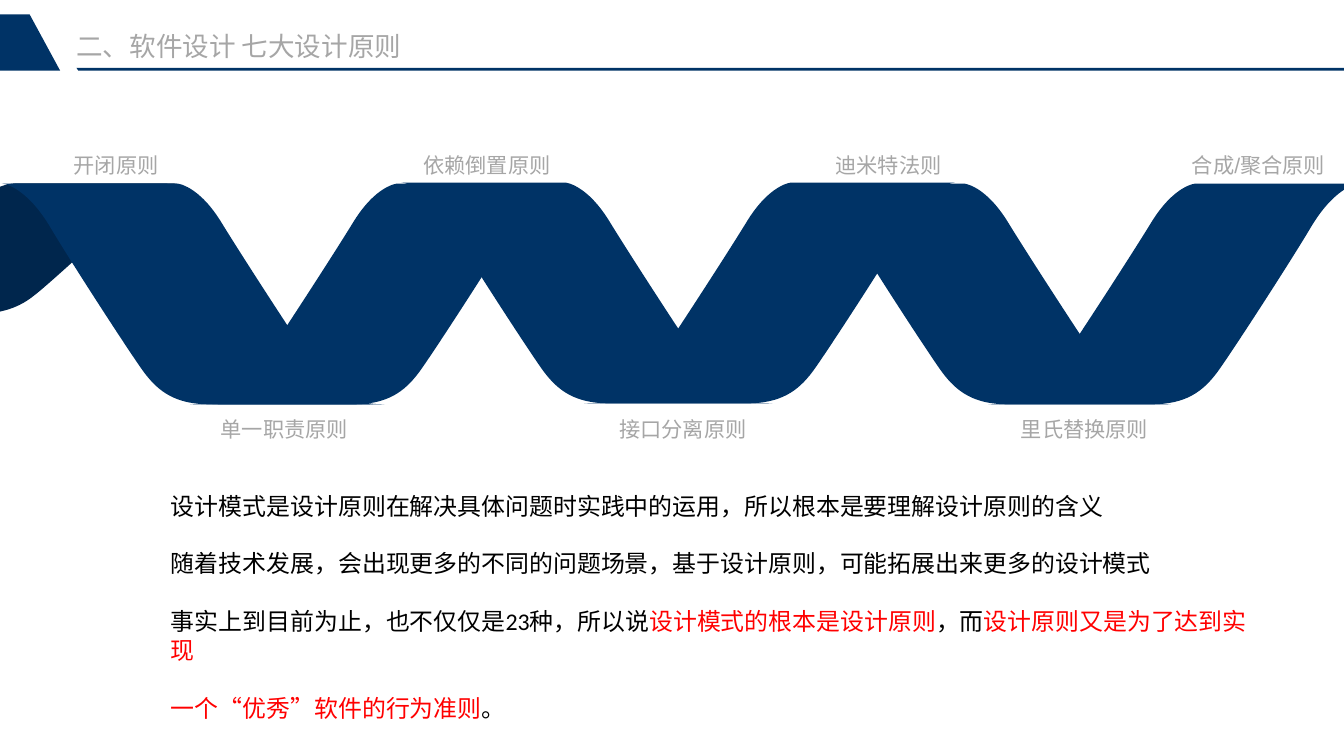
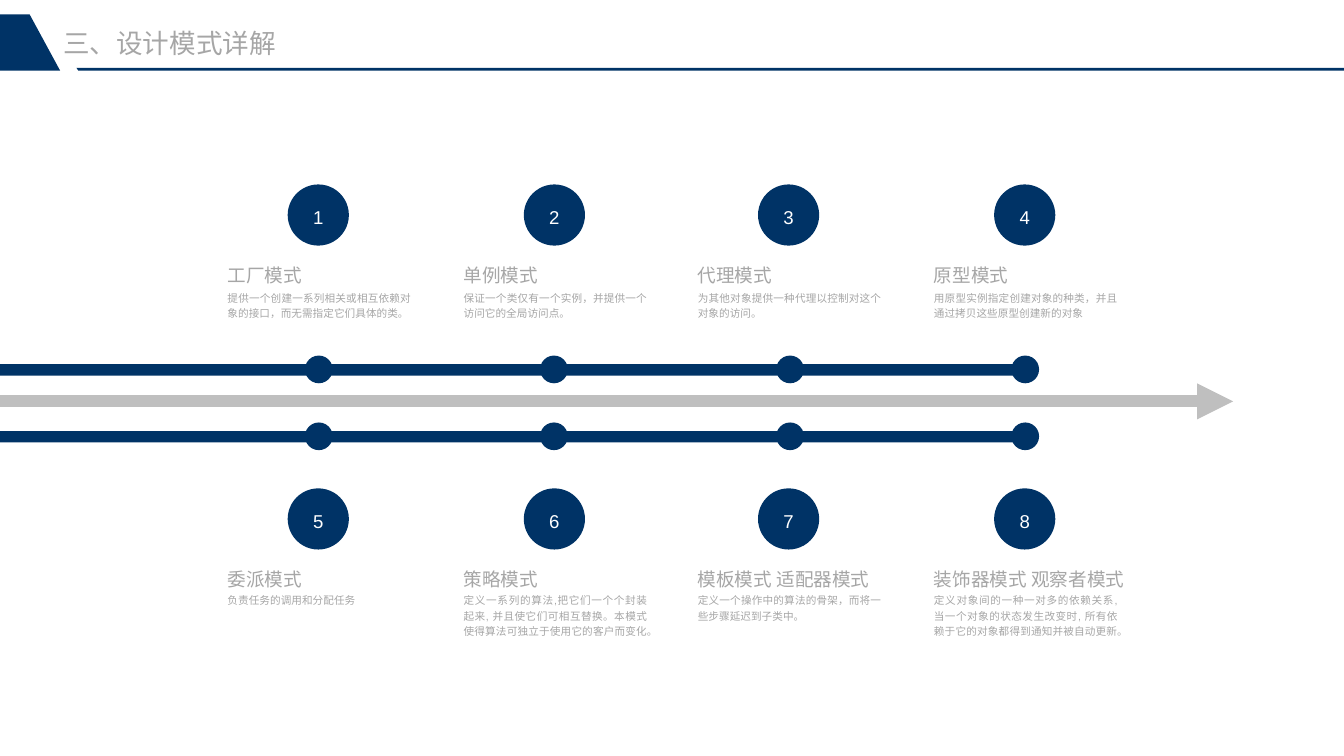
from lxml import etree
from pptx import Presentation
from pptx import util as u
from pptx.dml.color import RGBColor
from pptx.enum import shapes, text
from pptx.oxml.ns import qn

PX = 9144  # 100 px to the inch
NAVY = RGBColor(0x00, 0x33, 0x66)
DARK_NAVY = RGBColor(0x00, 0x26, 0x4D)
GRAY = RGBColor(0xA6, 0xA6, 0xA6)
LIGHT_GRAY = RGBColor(0xBF, 0xBF, 0xBF)
WHITE = RGBColor(0xFF, 0xFF, 0xFF)
BLACK = RGBColor(0x00, 0x00, 0x00)
RED = RGBColor(0xFF, 0x00, 0x00)
ALIGN = text.PP_ALIGN
SHAPE = shapes.MSO_SHAPE


def paint(sp, color):
    sp.shadow.inherit = False
    sp.fill.solid()
    sp.fill.fore_color.rgb = color
    sp.line.fill.background()


def write(sp, paragraphs, size, align, spacing=1.2, wrap=True, inset=(0, 0),
          anchor=text.MSO_ANCHOR.TOP, font="Arial", after=0):
    """Fill a shape with paragraphs, each a list of (text, color) runs."""
    tf = sp.text_frame
    frame = {"word_wrap": wrap, "auto_size": text.MSO_AUTO_SIZE.NONE,
             "vertical_anchor": anchor,
             "margin_left": inset[0] * PX, "margin_right": inset[0] * PX,
             "margin_top": inset[1] * PX, "margin_bottom": inset[1] * PX}
    for name, value in frame.items():
        setattr(tf, name, value)
    for i, runs in enumerate(paragraphs):
        p = tf.add_paragraph() if i else tf.paragraphs[0]
        p.alignment, p.line_spacing = align, spacing
        p.space_after = u.Pt(after)
        for content, color in runs:
            r = p.add_run()
            r.text = content
            r.font.name, r.font.size = font, u.Pt(size)
            r.font.color.rgb = color


prs = Presentation()
prs.slide_width, prs.slide_height = 1406 * PX, 791 * PX

# Both slides: title, wedge and rule
header = [[(0, 15), (31, 15), (63, 74), (0, 74)],
          [(80, 71), (1406, 71), (1406, 74), (82, 74)]]
pages = [
    ("二、软件设计 七大设计原则", (2, 25, 418, 40), ALIGN.RIGHT, 1.2),
    ("三、设计模式详解", (66, 28, 335, 34), ALIGN.LEFT, 1.0),
]
for title, box, align, spacing in pages:
    s = prs.slides.add_slide(prs.slide_layouts[5])
    for points in header:
        fb = s.shapes.build_freeform(*points[0], scale=PX)
        fb.add_line_segments(points[1:])
        paint(fb.convert_to_shape(), NAVY)
    sp = s.shapes.title
    sp.left, sp.top, sp.width, sp.height = [v * PX for v in box]
    write(sp, [[(title, GRAY)]], 20, align, spacing)

principles, patterns = prs.slides

# Ribbon strand: each curve from the point before, as two controls and an end
STRAND_W, STRAND_H = 388, 231
curves = [
    [(0, 0), (23, 1), (49, 43)],
    [(72, 82), (137, 182), (149, 198)],
    [(164, 218), (182, 231), (217, 231)],
    [(388, 231), (388, 231), (388, 231)],
    [(353, 231), (335, 218), (320, 198)],
    [(308, 182), (243, 82), (219, 43)],
    [(194, 1), (171, 0), (171, 0)],
]

# left, top, height, rising, color
strands = [
    (1034, 192, STRAND_H, True, NAVY),
    (611, 191, STRAND_H, True, NAVY),
    (837, 192, STRAND_H, False, NAVY),
    (199, 192, STRAND_H, True, NAVY),
    (420, 191, STRAND_H, False, NAVY),
    (-203, 192, 137, True, DARK_NAVY),
    (14, 192, STRAND_H, False, NAVY),
    (2, 192, STRAND_H, False, NAVY),
]
for left, top, height, rising, color in strands:
    placed = [[((STRAND_W - x if rising else x) * PX, round(y * height / STRAND_H) * PX)
               for x, y in curve] for curve in curves]
    fb = principles.shapes.build_freeform(STRAND_W * PX if rising else 0, 0)
    fb.add_line_segments([curve[-1] for curve in placed])
    sp = fb.convert_to_shape(left * PX, top * PX)
    paint(sp, color)
    # Turn the straight segments into cubic curves
    for segment, curve in zip(list(sp.element.iter(qn("a:lnTo"))), placed):
        bezier = etree.Element(qn("a:cubicBezTo"))
        for x, y in curve:
            etree.SubElement(bezier, qn("a:pt"), x=str(x), y=str(y))
        segment.getparent().replace(segment, bezier)

# Principle names above and below the ribbon
ABOVE, BELOW = 154, 430
labels = [
    ("开闭原则", 77, ABOVE, 89),
    ("单一职责原则", 231, BELOW, 133),
    ("依赖倒置原则", 443, ABOVE, 133),
    ("接口分离原则", 648, BELOW, 133),
    ("迪米特法则", 871, ABOVE, 117),
    ("里氏替换原则", 1068, BELOW, 133),
    ("合成/聚合原则", 1231, ABOVE, 171),
]
for name, left, top, width in labels:
    sp = principles.shapes.add_textbox(left * PX, top * PX, width * PX, 32 * PX)
    write(sp, [[(name, GRAY)]], 16, ALIGN.CENTER, wrap=False)

# Explanation
explanation = [
    [("设计模式是设计原则在解决具体问题时实践中的运用，所以根本是要理解设计原则的含义", BLACK)],
    [("随着技术发展，会出现更多的不同的问题场景，基于设计原则，可能拓展出来更多的设计模式", BLACK)],
    [("事实上到目前为止，也不仅仅是23种，所以说", BLACK), ("设计模式的根本是设计原则", RED),
     ("，而", BLACK), ("设计原则又是为了达到实现", RED)],
    [("一个“优秀”软件的行为准则", RED), ("。", BLACK)],
]
sp = principles.shapes.add_textbox(169 * PX, 509 * PX, 1170 * PX, 222 * PX)
write(sp, explanation, 18, ALIGN.LEFT, spacing=1.0, inset=(10, 5),
      font="Calibri", after=22)

# Central arrow
cn = patterns.shapes.add_connector(shapes.MSO_CONNECTOR.STRAIGHT,
                                   0, 420 * PX, 1290 * PX, 420 * PX)
cn.line.color.rgb = LIGHT_GRAY
cn.line.width = u.Pt(9)
spPr = cn.element.spPr
etree.SubElement(spPr.find(qn("a:ln")), qn("a:tailEnd"), type="triangle")
etree.SubElement(spPr, qn("a:effectLst"))

# Two timelines of four patterns each
COLUMN_LEFTS = (238, 485, 730, 977)
rows = [
    # circle top, name top, description top, bar top
    (193, 271, 303, 381, [
        ("工厂模式", "提供一个创建一系列相关或相互依赖对象的接口，而无需指定它们具体的类。"),
        ("单例模式", "保证一个类仅有一个实例，并提供一个访问它的全局访问点。"),
        ("代理模式", "为其他对象提供一种代理以控制对这个对象的访问。"),
        ("原型模式", "用原型实例指定创建对象的种类，并且通过拷贝这些原型创建新的对象"),
    ]),
    (511, 590, 619, 451, [
        ("委派模式", "负责任务的调用和分配任务"),
        ("策略模式", "定义一系列的算法,把它们一个个封装起来, 并且使它们可相互替换。"
                 "本模式使得算法可独立于使用它的客户而变化。"),
        ("模板模式 适配器模式", "定义一个操作中的算法的骨架，而将一些步骤延迟到子类中。"),
        ("装饰器模式 观察者模式", "定义对象间的一种一对多的依赖关系,当一个对象的状态发生改变时, "
                        "所有依赖于它的对象都得到通知并被自动更新。"),
    ]),
]
number = 0
for circle_top, name_top, desc_top, bar_top, items in rows:
    bar_left = 0
    for i, (left, (name, desc)) in enumerate(zip(COLUMN_LEFTS, items)):
        number += 1
        dot_left = 319 + round(739 * i / 3)

        # Bar up to this dot, then the dot and the numbered circle
        for kind, x, y, w, h in [
            (SHAPE.RECTANGLE, bar_left, bar_top, dot_left + 14 - bar_left, 12),
            (SHAPE.OVAL, dot_left, bar_top - 9, 29, 29),
            (SHAPE.OVAL, left + 63, circle_top, 64, 64),
        ]:
            sp = patterns.shapes.add_shape(kind, x * PX, y * PX, w * PX, h * PX)
            paint(sp, NAVY)
        write(sp, [[(str(number), WHITE)]], 14, ALIGN.CENTER,
              anchor=text.MSO_ANCHOR.MIDDLE)
        bar_left = dot_left + 14

        # Name and description
        name_width = 143 if len(name) < 5 else 227
        for content, top, w, h, size in [(name, name_top, name_width, 28, 14),
                                         (desc, desc_top, 192, 48, 8)]:
            sp = patterns.shapes.add_textbox(left * PX, top * PX, w * PX, h * PX)
            write(sp, [[(content, GRAY)]], size, ALIGN.JUSTIFY)

prs.save("out.pptx")
